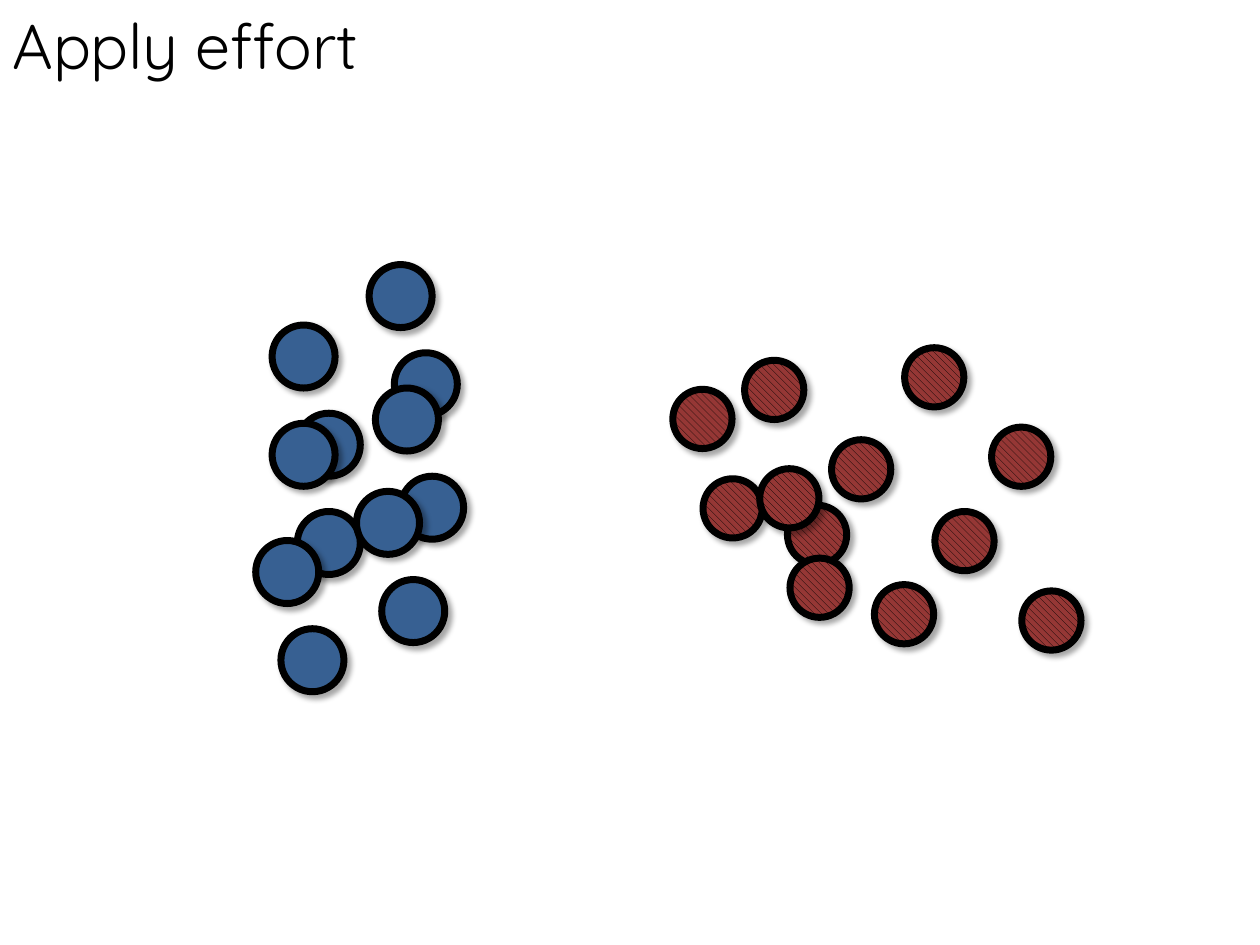
from lxml.etree import SubElement
from pptx import Presentation
from pptx.dml.color import RGBColor
from pptx.enum.dml import MSO_PATTERN
from pptx.enum.shapes import MSO_SHAPE
from pptx.enum.text import MSO_AUTO_SIZE
from pptx.oxml.ns import qn
from pptx.util import Inches, Pt

BLACK = RGBColor(0x00, 0x00, 0x00)
BLUE = RGBColor(0x37, 0x60, 0x92)
RED = RGBColor(0x95, 0x37, 0x35)

# Each cluster is a set of six balls, repeated once at a fixed shift.
BLUE_SET = [(2.36, 3.28), (2.36, 4.06), (3.13, 2.8),
            (3.03, 4.6), (3.18, 3.78), (2.23, 4.99)]
BLUE_SHIFT = (-0.2, -0.7)
RED_SET = [(5.34, 3.09), (5.58, 3.8), (5.91, 2.86),
           (6.25, 4.01), (7.42, 4.06), (7.18, 2.76)]
RED_SHIFT = (0.69, 0.63)


def add_text(s, text, x, y, w, h, *, size, font="Quicksand", color=BLACK):
    tf = s.shapes.add_textbox(Inches(x), Inches(y), Inches(w), Inches(h)).text_frame
    tf.word_wrap = True
    tf.auto_size = MSO_AUTO_SIZE.SHAPE_TO_FIT_TEXT
    r = tf.paragraphs[0].add_run()
    r.text = text
    r.font.size = Pt(size)
    r.font.name = font
    r.font.color.rgb = color


def add_shadow(sp):
    """Give the shape a soft shadow to the lower right."""
    sp.shadow.inherit = False
    effects = sp.element.spPr.find(qn("a:effectLst"))
    shadow = SubElement(effects, qn("a:outerShdw"), blurRad=str(Pt(3.1)),
                        dist=str(Pt(3)), dir=str(45 * 60000),
                        algn="tl", rotWithShape="0")
    color = SubElement(shadow, qn("a:srgbClr"), val=str(BLACK))
    SubElement(color, qn("a:alpha"), val="35000")


def add_ball(s, x, y, size, color, hatched):
    sp = s.shapes.add_shape(MSO_SHAPE.OVAL, Inches(x), Inches(y),
                            Inches(size), Inches(size))
    if hatched:
        sp.fill.patterned()
        sp.fill.pattern = MSO_PATTERN.WIDE_DOWNWARD_DIAGONAL
        sp.fill.fore_color.rgb = BLACK
        sp.fill.back_color.rgb = color
    else:
        sp.fill.solid()
        sp.fill.fore_color.rgb = color
    sp.line.color.rgb = BLACK
    sp.line.width = Pt(4)
    add_shadow(sp)


def add_cluster(s, places, shift, size, color, hatched=False):
    for dx, dy in ((0, 0), shift):
        for x, y in places:
            add_ball(s, x + dx, y + dy, size, color, hatched)


def main():
    prs = Presentation()
    prs.slide_width, prs.slide_height = Inches(10), Inches(7.5)
    s = prs.slides.add_slide(prs.slide_layouts[6])
    add_text(s, "Apply effort", 0, 0, 6.93, 0.71, size=36)
    add_cluster(s, BLUE_SET, BLUE_SHIFT, 0.5, BLUE)
    add_cluster(s, RED_SET, RED_SHIFT, 0.47, RED, hatched=True)
    prs.save("out.pptx")


if __name__ == "__main__":
    main()
